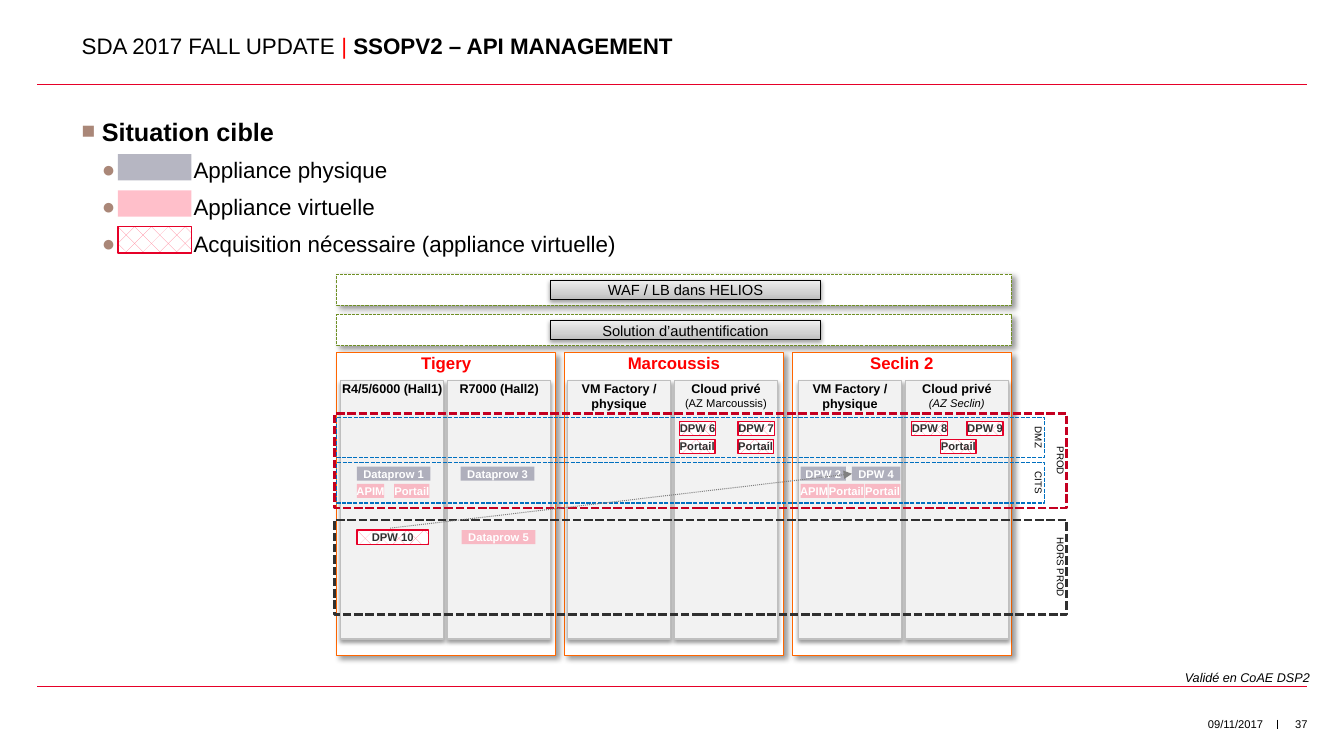
import pptx
import pptx.util
import pptx.dml.color
import pptx.enum.dml
import pptx.enum.shapes
import pptx.enum.text
import pptx.oxml.ns
from dataclasses import dataclass
from lxml import etree
from pptx.util import Inches

DASH = pptx.enum.dml.MSO_LINE
ALIGN = pptx.enum.text.PP_ALIGN
ANCHOR = pptx.enum.text.MSO_ANCHOR
SHAPE = pptx.enum.shapes.MSO_SHAPE
qn = pptx.oxml.ns.qn


@dataclass(frozen=True)
class Theme:
    font: str = "Arial"
    black: str = "000000"
    white: str = "FFFFFF"
    red: str = "FF0000"
    rule: str = "E60028"
    bullet: str = "AA8778"
    orange: str = "FF6600"
    green: str = "6F9024"
    column: str = "F2F2F2"
    column_line: str = "BFBFBF"
    physical: str = "6E6E87"
    virtual: str = "FF8197"
    dark: str = "303030"
    prod: str = "C40021"
    network: str = "0070C0"
    arrow: str = "808080"
    gradient: tuple = ((0, "BDBDBD"), (35, "D1D1D1"), (100, "EEEEEE"))
    heading: float = 18
    body: float = 16
    site: float = 12
    service: float = 10.5
    label: float = 9
    small: float = 8
    zone: float = 7


THEME = Theme()
# Shadows: opacity %, blur, distance (points), direction (degrees)
PANEL_SHADOW = (40, 4, 3, 45)
COLUMN_SHADOW = (38, 3.1, 1.6, 90)


def rgb(color):
    return pptx.dml.color.RGBColor.from_string(color)


def add_element(parent, tag, **attributes):
    element = etree.SubElement(parent, qn(tag))
    for name, value in attributes.items():
        element.set(name, str(value))
    return element


def add_run(paragraph, text, size, color=THEME.black, bold=False, italic=False):
    run = paragraph.add_run()
    run.text = text
    font = run.font
    font.name, font.size, font.bold, font.italic = THEME.font, pptx.util.Pt(size), bold, italic
    font.color.rgb = rgb(color)


def prepare_frame(frame, anchor=ANCHOR.TOP, inset=0, wrap=True):
    frame.margin_left = frame.margin_right = frame.margin_top = frame.margin_bottom = Inches(inset)
    frame.vertical_anchor, frame.word_wrap = anchor, wrap


def add_text(slide, box, runs, align=ALIGN.LEFT, anchor=ANCHOR.TOP, inset=0, spacing=None):
    frame = slide.shapes.add_textbox(*map(Inches, box)).text_frame
    prepare_frame(frame, anchor, inset)
    paragraph = frame.paragraphs[0]
    paragraph.alignment, paragraph.line_spacing = align, spacing
    for run in runs:
        add_run(paragraph, *run)


def add_shadow(shape, opacity, blur, distance, direction):
    effects = shape._element.spPr.find(qn("a:effectLst"))
    shadow = add_element(effects, "a:outerShdw", blurRad=pptx.util.Pt(blur), dist=pptx.util.Pt(distance),
                         dir=direction * 60000, algn="ctr", rotWithShape=0)
    color = add_element(shadow, "a:srgbClr", val=THEME.black)
    add_element(color, "a:alpha", val=opacity * 1000)


def add_box(slide, box, fill=None, line=None, width=0.75, dash=None, shadow=None, kind=SHAPE.RECTANGLE):
    shape = slide.shapes.add_shape(kind, *map(Inches, box))
    shape.shadow.inherit = False
    if fill:
        shape.fill.solid()
        shape.fill.fore_color.rgb = rgb(fill)
    else:
        shape.fill.background()
    if line:
        shape.line.color.rgb = rgb(line)
        shape.line.width, shape.line.dash_style = pptx.util.Pt(width), dash
    else:
        shape.line.fill.background()
    if shadow:
        add_shadow(shape, *shadow)
    return shape


def add_label(shape, lines, anchor=ANCHOR.TOP, wrap=True):
    frame = shape.text_frame
    prepare_frame(frame, anchor, wrap=wrap)
    for index, line in enumerate(lines):
        paragraph = frame.add_paragraph() if index else frame.paragraphs[0]
        paragraph.alignment = ALIGN.CENTER
        add_run(paragraph, *line)


def add_line(slide, start, end, color, width, dash=None, arrow=False):
    line = slide.shapes.add_connector(pptx.enum.shapes.MSO_CONNECTOR.STRAIGHT, *map(Inches, start + end))
    line.line.color.rgb = rgb(color)
    line.line.width, line.line.dash_style = pptx.util.Pt(width), dash
    properties = line._element.spPr
    if arrow:
        add_element(properties.find(qn("a:ln")), "a:tailEnd", type="triangle")
    add_element(properties, "a:effectLst")


def add_service(slide, top, text):
    shape = add_box(slide, (5.46, top, 2.68, 0.19), THEME.white, THEME.black, shadow=COLUMN_SHADOW)
    shape.fill.gradient()
    shape.fill.gradient_angle = 90
    stops = shape._element.spPr.find(qn("a:gradFill")).find(qn("a:gsLst"))
    for stop in list(stops):
        stops.remove(stop)
    for position, color in THEME.gradient:
        add_element(add_element(stops, "a:gs", pos=position * 1000), "a:srgbClr", val=color)
    add_label(shape, [(text, THEME.service)], ANCHOR.MIDDLE)


def add_appliance(slide, kind, box, text=None):
    if kind == "new":
        shape = add_box(slide, box, THEME.white, THEME.rule, 1)
        shape.fill.patterned()
        shape.fill.pattern = pptx.enum.dml.MSO_PATTERN.DIAGONAL_BRICK
        shape.fill.fore_color.rgb, shape.fill.back_color.rgb = rgb(THEME.virtual), rgb(THEME.white)
    else:
        shape = add_box(slide, box, THEME.physical if kind == "physical" else THEME.virtual)
        color = shape._element.spPr.find(qn("a:solidFill")).find(qn("a:srgbClr"))
        add_element(color, "a:alpha", val=50000)
    if text:
        text_color = THEME.dark if kind == "new" else THEME.white
        add_label(shape, [(text, THEME.small, text_color, True)], ANCHOR.MIDDLE, wrap=False)


def add_site(slide, left, name, first_column, columns):
    panel = add_box(slide, (left, 3.5, 2.17, 3), THEME.white, THEME.orange, shadow=PANEL_SHADOW)
    add_label(panel, [(name, THEME.site, THEME.red, True)])
    for index, (title, *subtitle) in enumerate(columns):
        column = add_box(slide, (first_column + 1.06 * index, 3.78, 1.02, 2.56), THEME.column,
                         THEME.column_line, shadow=COLUMN_SHADOW, kind=SHAPE.FLOWCHART_PROCESS)
        add_label(column, [(title, THEME.label, THEME.black, True), *subtitle])


def add_zone(slide, box, text, color, width):
    zone = add_box(slide, box, None, color, width, DASH.SQUARE_DOT)
    add_label(zone, [(text, THEME.zone)], wrap=False)
    zone.text_frame._txBody.bodyPr.set("vert", "vert")


def add_legend(slide):
    frame = slide.shapes.add_textbox(*map(Inches, (0.81, 1.15, 11.69, 1.5))).text_frame
    prepare_frame(frame)
    entries = [("Situation cible", "■", 0.2, 0.2, THEME.heading, 90),
               ("Appliance physique", "●", 1.11, 0.91, THEME.body, 100),
               ("Appliance virtuelle", "●", 1.11, 0.91, THEME.body, 100),
               ("Acquisition nécessaire (appliance virtuelle)", "●", 1.11, 0.91, THEME.body, 100)]
    for index, (text, bullet, margin, hanging, size, bullet_size) in enumerate(entries):
        paragraph = frame.add_paragraph() if index else frame.paragraphs[0]
        if index:
            paragraph.space_before = pptx.util.Pt(7.3)
        properties = paragraph._p.get_or_add_pPr()
        properties.set("marL", str(Inches(margin)))
        properties.set("indent", str(-Inches(hanging)))
        add_element(add_element(properties, "a:buClr"), "a:srgbClr", val=THEME.bullet)
        add_element(properties, "a:buSzPct", val=bullet_size * 1000)
        add_element(properties, "a:buFont", typeface=THEME.font)
        add_element(properties, "a:buChar", char=bullet)
        add_run(paragraph, text, size, bold=index == 0)
    for index, kind in enumerate(("physical", "virtual", "new")):
        add_appliance(slide, kind, (1.17, 1.53 + 0.36 * index, 0.73, 0.26))


def main():
    presentation = pptx.Presentation()
    presentation.slide_width, presentation.slide_height = Inches(13.33), Inches(7.5)
    slide = presentation.slides.add_slide(presentation.slide_layouts[6])

    # Title, rules and footer
    for y in (0.84, 6.81):
        add_line(slide, (12.96, y), (0.37, y), THEME.rule, 0.5)
    add_line(slide, (12.67, 7.14), (12.67, 7.23), THEME.black, 0.75)
    add_text(slide, (12.6, 7.12, 0.37, 0.24), [("37", THEME.small)], ALIGN.RIGHT)
    add_text(slide, (9.88, 7.12, 2.65, 0.24), [("09/11/2017", THEME.small)], ALIGN.RIGHT)
    add_text(slide, (0.81, 0.28, 11.71, 0.31),
             [("SDA 2017 FALL UPDATE ", THEME.body), ("| ", THEME.body, THEME.red),
              ("SSOPV2 – API MANAGEMENT", THEME.body, THEME.black, True)], anchor=ANCHOR.BOTTOM, spacing=0.9)
    add_legend(slide)

    # Shared services
    for top, text in ((2.72, "WAF / LB dans HELIOS"), (3.12, "Solution d’authentification")):
        add_box(slide, (3.34, top, 6.69, 0.31), THEME.white, THEME.green, dash=DASH.SQUARE_DOT, shadow=PANEL_SHADOW)
        add_service(slide, top + 0.06, text)

    # Sites and their columns
    factory, cloud = "VM Factory / physique", "Cloud privé"
    sites = [("Tigery", 3.38, [("R4/5/6000 (Hall1)",), ("R7000 (Hall2)",)]),
             ("Marcoussis", 5.63, [(factory,), (cloud, ("(AZ Marcoussis)", THEME.small))]),
             ("Seclin 2", 7.92, [(factory,), (cloud, ("(AZ Seclin)", THEME.small, THEME.black, False, True))])]
    for index, (name, first_column, columns) in enumerate(sites):
        add_site(slide, 3.34 + 2.26 * index, name, first_column, columns)

    # Zones across the sites
    add_zone(slide, (3.32, 4.1, 7.26, 0.94), "PROD", THEME.prod, 2)
    add_zone(slide, (3.32, 5.16, 7.26, 0.94), "HORS PROD", THEME.dark, 2)
    add_zone(slide, (3.34, 4.14, 7.02, 0.4), "DMZ", THEME.network, 1)
    add_zone(slide, (3.34, 4.59, 7.02, 0.4), "CITS", THEME.network, 1)

    # Appliances: kind, top, then left, width and name of each
    rows = [("physical", 4.63, [(3.54, 0.73, "Dataprow 1"), (4.57, 0.73, "Dataprow 3"),
                                (7.94, 0.45, "DPW 2"), (8.45, 0.48, "DPW 4")]),
            ("virtual", 4.8, [(3.54, 0.27, "APIM"), (3.91, 0.35, "Portail"), (7.94, 0.27, "APIM"),
                              (8.22, 0.35, "Portail"), (8.58, 0.35, "Portail")]),
            ("virtual", 5.26, [(4.58, 0.73, "Dataprow 5")]),
            ("new", 4.18, [(6.74, 0.36, "DPW 6"), (7.32, 0.36, "DPW 7"),
                           (9.04, 0.36, "DPW 8"), (9.59, 0.36, "DPW 9")]),
            ("new", 4.36, [(left, 0.35, "Portail") for left in (6.74, 7.32, 9.33)]),
            ("new", 5.26, [(3.54, 0.71, "DPW 10")])]
    for kind, top, appliances in rows:
        for left, width, name in appliances:
            add_appliance(slide, kind, (left, top, width, 0.14), name)
    add_line(slide, (3.87, 5.24), (8.45, 4.7), THEME.arrow, 0.75, DASH.ROUND_DOT, arrow=True)

    # Approval note
    add_text(slide, (8.61, 6.61, 4.42, 0.25),
             [("Validé en CoAE DSP2", THEME.label, THEME.black, False, True)], ALIGN.RIGHT, inset=0.04)
    presentation.save("out.pptx")


if __name__ == "__main__":
    main()
